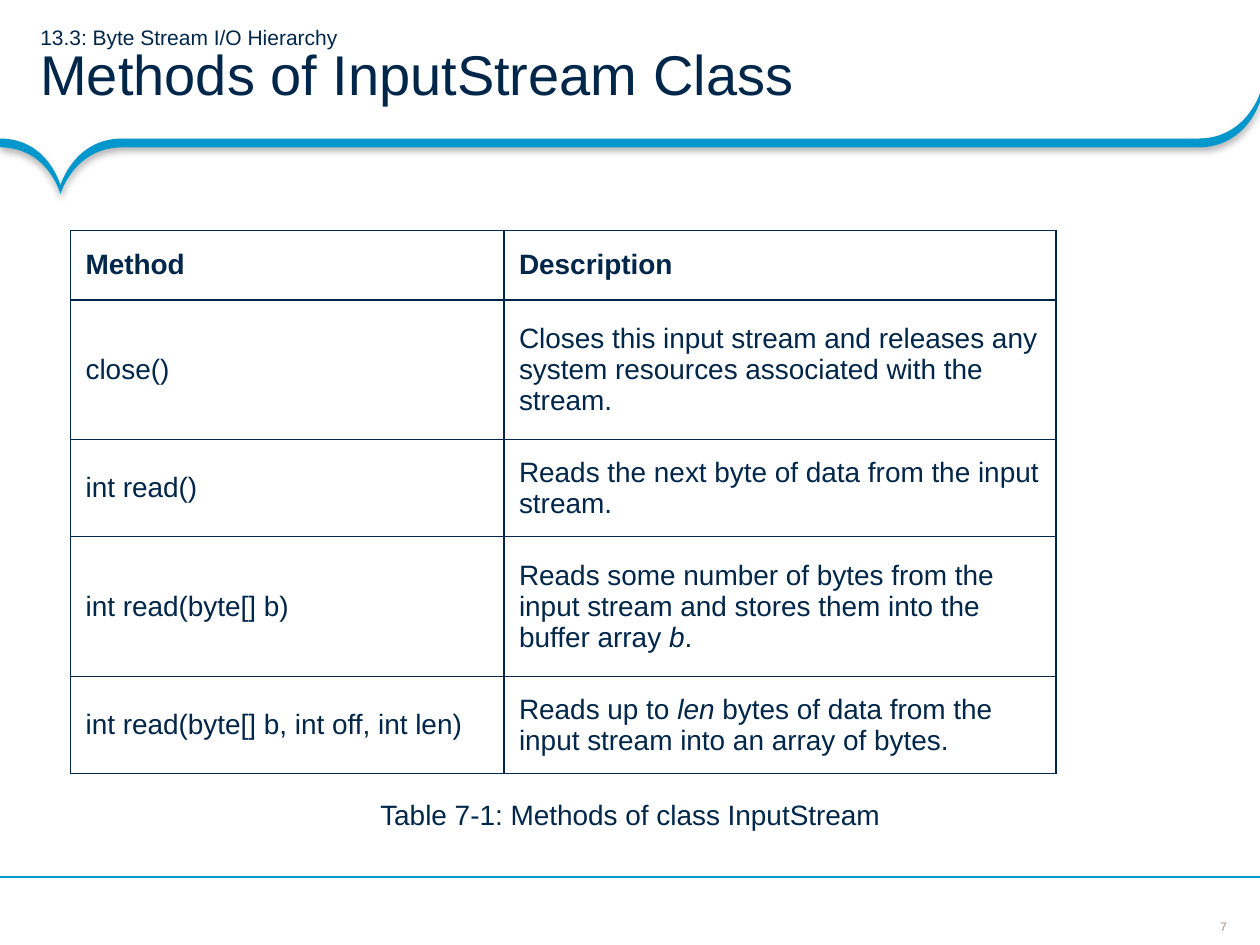
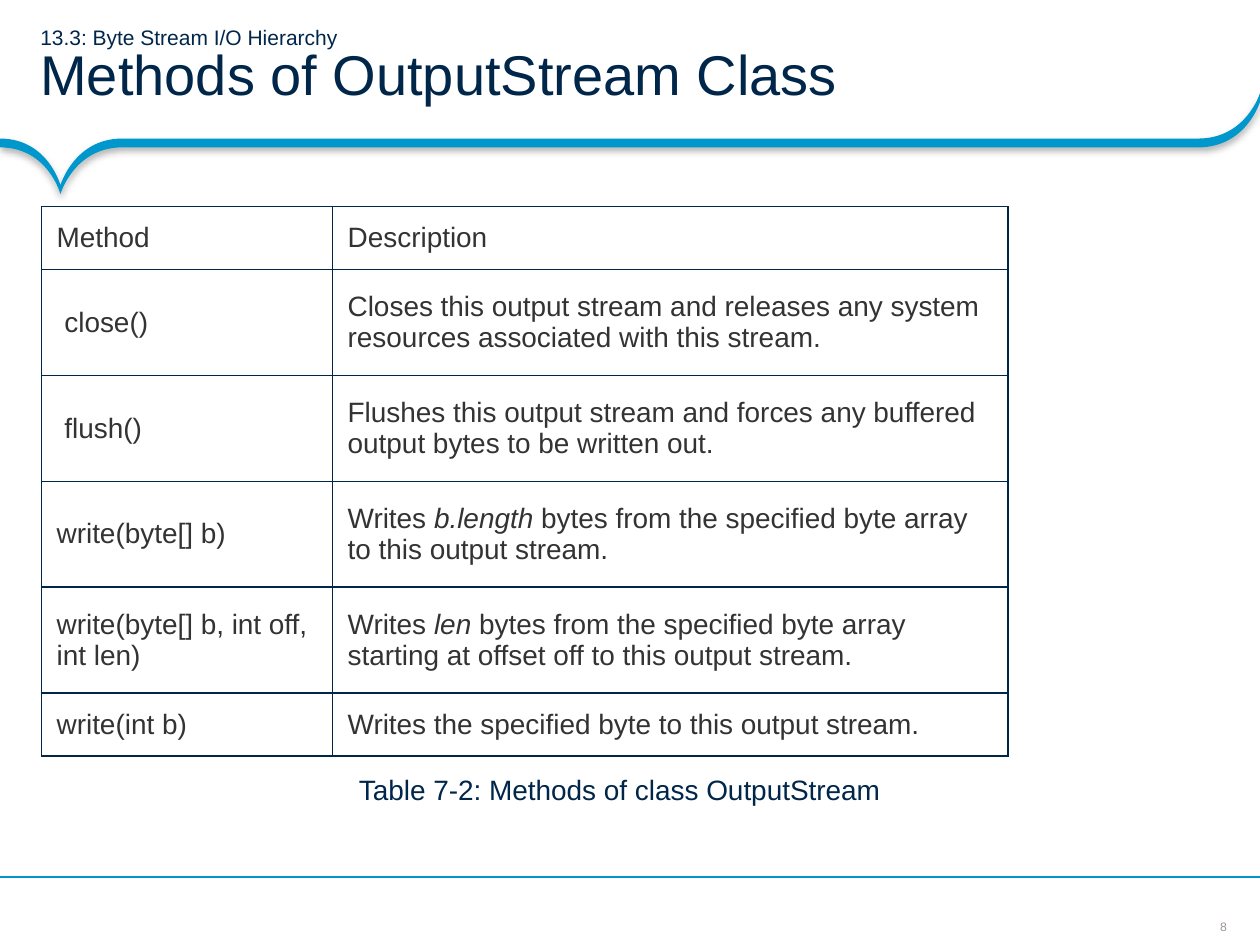
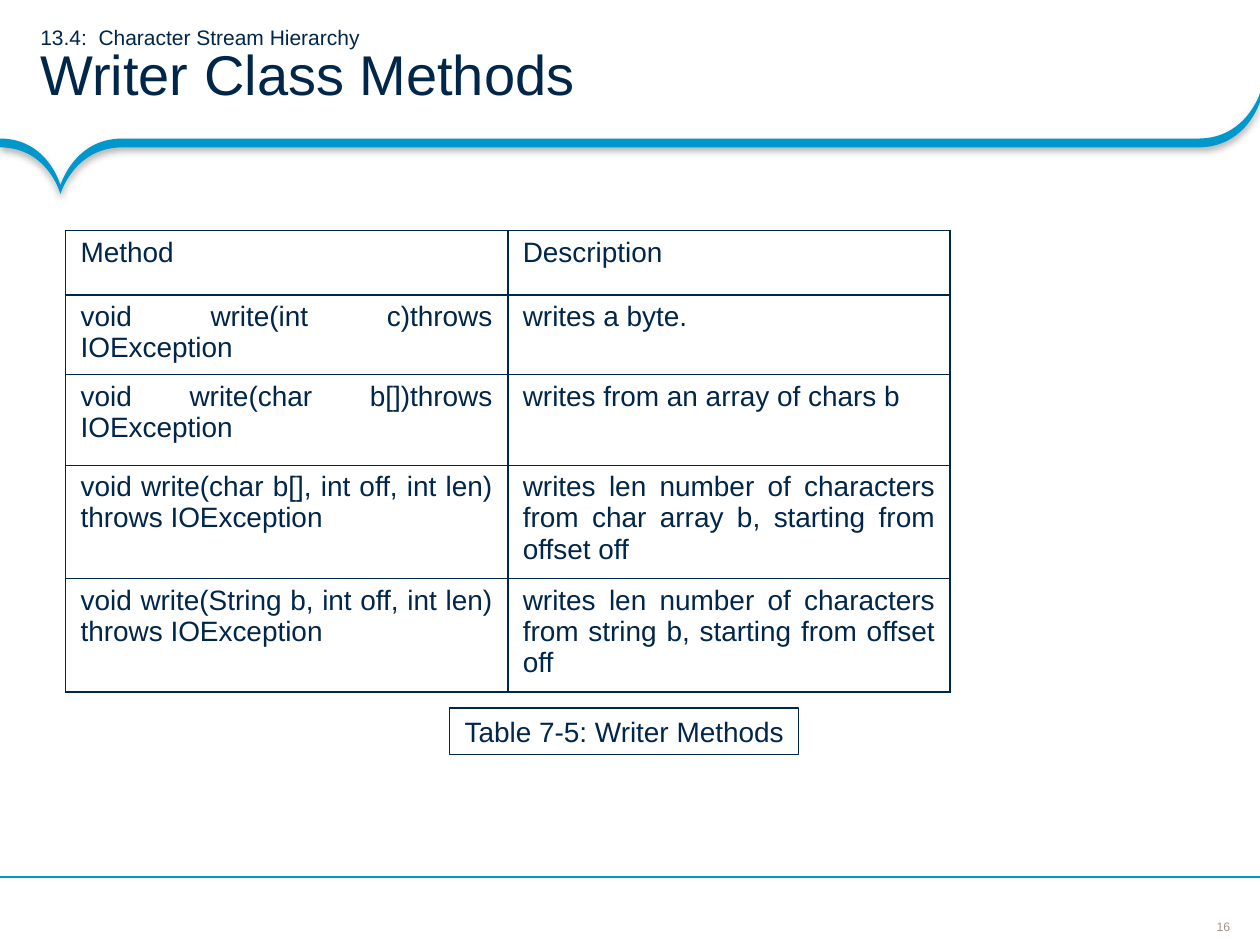
from lxml.etree import SubElement
from pptx import Presentation
from pptx.dml.color import RGBColor
from pptx.enum.shapes import MSO_CONNECTOR, MSO_SHAPE
from pptx.enum.text import MSO_ANCHOR as ANCHOR, PP_ALIGN as ALIGN
from pptx.oxml import parse_xml
from pptx.oxml.ns import nsdecls, qn
from pptx.util import Inches, Pt

NAVY = RGBColor(0x00, 0x26, 0x4A)
BLUE = RGBColor(0x00, 0x98, 0xCC)
CHARCOAL = RGBColor(0x33, 0x33, 0x33)
GRAY = RGBColor(0x9F, 0x95, 0x8F)
WHITE = RGBColor(0xFF, 0xFF, 0xFF)
FONT = "Arial"

# Text between asterisks is italic
SLIDES = [
    {
        "number": 7,
        "section": "13.3: Byte Stream I/O Hierarchy",
        "title": "Methods of InputStream Class",
        "at": (0.56, 1.83), "columns": (3.44, 4.38), "table_height": 4.31,
        "heights": (0.55, 1.11, 0.77, 1.11, 0.77),
        "color": NAVY, "bold_header": True,
        "anchor": ANCHOR.MIDDLE, "align": ALIGN.LEFT,
        "rows": [
            ("Method", "Description"),
            ("close()", "Closes this input stream and releases any system resources "
                        "associated with the stream."),
            ("int read()", "Reads the next byte of data from the input stream."),
            ("int read(byte[] b)", "Reads some number of bytes from the input stream "
                                   "and stores them into the buffer array *b*."),
            ("int read(byte[] b, int off, int len)",
             "Reads up to *len* bytes of data from the input stream into an array of bytes."),
        ],
        "caption": "Table 7‑1: Methods of class InputStream",
        "caption_at": (2.92, 6.28, 4.5, 0.37), "boxed": False,
    },
    {
        "number": 8,
        "section": "13.3: Byte Stream I/O Hierarchy",
        "title": "Methods of OutputStream Class",
        "at": (0.33, 1.64), "columns": (2.31, 5.36), "table_height": 4.35,
        "heights": (0.5, 0.84, 0.84, 0.84, 0.84, 0.5),
        "color": CHARCOAL, "bold_header": False,
        "anchor": ANCHOR.MIDDLE, "align": ALIGN.LEFT,
        "rows": [
            ("Method", "Description"),
            (" close()", "Closes this output stream and releases any system resources "
                         "associated with this stream."),
            (" flush()", "Flushes this output stream and forces any buffered output "
                         "bytes to be written out."),
            ("write(byte[] b)", "Writes *b.length* bytes from the specified byte array "
                                "to this output stream."),
            ("write(byte[] b, int off, int len)",
             "Writes *len* bytes from the specified byte array starting at offset off "
             "to this output stream."),
            ("write(int b)", "Writes the specified byte to this output stream."),
        ],
        "caption": "Table 7‑2: Methods of class OutputStream",
        "caption_at": (2.75, 6.08, 4.5, 0.37), "boxed": False,
    },
    {
        "number": 16,
        "section": "13.4:  Character Stream Hierarchy",
        "title": "Writer Class Methods",
        "at": (0.52, 1.83), "columns": (3.51, 3.51), "table_height": 3.67,
        "heights": (0.51, 0.52, 0.72, 0.75, 0.8),
        "color": NAVY, "bold_header": False,
        "anchor": ANCHOR.TOP, "align": ALIGN.JUSTIFY,
        "rows": [
            ("Method", "Description"),
            ("void write(int c)throws IOException", "writes a byte."),
            ("void write(char b[])throws IOException", "writes from an array of chars b"),
            ("void write(char b[], int off, int len) throws IOException",
             "writes len number of characters from char array b, starting from offset off"),
            ("void write(String b, int off, int len) throws IOException",
             "writes len number of characters from string b, starting from offset off"),
        ],
        "caption": "Table 7‑5: Writer Methods",
        "caption_at": (3.57, 5.62, 2.77, 0.37), "boxed": True,
    },
]

# Band outline: a start point, then Bezier segments (control, control, end)
BAND_START = (9.51, 1.1)
BAND_CURVES = [
    ((0.97, 1.1), (0.97, 1.1), (0.97, 1.1)),
    ((0.59, 1.1), (0.48, 1.47), (0.48, 1.47)),
    ((0.48, 1.47), (0.38, 1.1), (0, 1.1)),
    ((0, 1.17), (0, 1.17), (0, 1.17)),
    ((0.38, 1.17), (0.48, 1.54), (0.48, 1.54)),
    ((0.48, 1.54), (0.59, 1.17), (0.97, 1.17)),
    ((9.51, 1.17), (9.51, 1.17), (9.51, 1.17)),
    ((9.89, 1.17), (10, 0.81), (10, 0.81)),
    ((10, 0.74), (10, 0.74), (10, 0.74)),
    ((10, 0.74), (9.89, 1.1), (9.51, 1.1)),
]


def style(font, size, color, bold=False):
    font.name, font.size, font.bold = FONT, Pt(size), bold
    font.color.rgb = color


def set_margins(target, left, top, right, bottom):
    target.margin_left, target.margin_top = Inches(left), Inches(top)
    target.margin_right, target.margin_bottom = Inches(right), Inches(bottom)


def add_band(page):
    builder = page.shapes.build_freeform(*map(Inches, BAND_START))
    ends = [tuple(map(Inches, curve[-1])) for curve in BAND_CURVES]
    builder.add_line_segments(ends, close=True)
    band = builder.convert_to_shape()
    # Turn each straight segment into its curve
    segments = list(band._element.iter(qn("a:lnTo")))
    for segment, curve in zip(segments, BAND_CURVES):
        segment.tag = qn("a:cubicBezTo")
        segment.clear()
        for x, y in curve:
            SubElement(segment, qn("a:pt"), x=str(Inches(x) - band.left),
                       y=str(Inches(y) - band.top))
    band.fill.solid()
    band.fill.fore_color.rgb = BLUE
    band.line.fill.background()
    band._element.spPr.append(parse_xml(
        f'<a:effectLst {nsdecls("a")}>'
        f'<a:outerShdw blurRad="{Pt(4)}" dist="{Pt(2)}" dir="5400000" rotWithShape="0">'
        '<a:srgbClr val="000000"><a:alpha val="31000"/></a:srgbClr>'
        '</a:outerShdw></a:effectLst>'))


def add_frame(page, number):
    # Page number, band and footer line
    box = page.shapes.add_textbox(Inches(9.65), Inches(7.29), Inches(0.12), Inches(0.12))
    frame = box.text_frame
    set_margins(frame, 0, 0, 0, 0)
    frame.word_wrap = False
    frame.vertical_anchor = ANCHOR.MIDDLE
    para = frame.paragraphs[0]
    para.text, para.alignment = str(number), ALIGN.CENTER
    style(para.font, 7, GRAY)
    add_band(page)
    line = page.shapes.add_connector(
        MSO_CONNECTOR.STRAIGHT, Inches(10), Inches(6.96), 0, Inches(6.96))
    line.line.color.rgb, line.line.width = BLUE, Pt(0.75)
    SubElement(line._element.spPr, qn("a:effectLst"))


def add_title(page, section, title):
    frame = page.shapes.add_textbox(0, 0, Inches(10), Inches(1.08)).text_frame
    frame.word_wrap, frame.vertical_anchor = True, ANCHOR.MIDDLE
    set_margins(frame, 0.32, 0.04, 0.18, 0.04)
    para = frame.paragraphs[0]
    para.line_spacing = 0.85
    for text, size in ((section, 12), (title, 32)):
        if para.runs:
            para.add_line_break()
        span = para.add_run()
        span.text = text
        style(span.font, size, NAVY)


def add_borders(cell):
    properties = cell._tc.get_or_add_tcPr()
    for side in ("lnL", "lnR", "lnT", "lnB"):
        properties.append(parse_xml(
            f'<a:{side} {nsdecls("a")} w="{Pt(1)}"><a:solidFill>'
            f'<a:srgbClr val="{NAVY}"/></a:solidFill></a:{side}>'))


def fill_cell(cell, text, content, bold):
    add_borders(cell)
    cell.fill.solid()
    cell.fill.fore_color.rgb = WHITE
    cell.vertical_anchor = content["anchor"]
    set_margins(cell, 0.12, 0.05, 0.12, 0.05)
    para = cell.text_frame.paragraphs[0]
    para.alignment = content["align"]
    for index, part in enumerate(text.split("*")):
        span = para.add_run()
        span.text = part
        style(span.font, 16, content["color"], bold)
        span.font.italic = index % 2 == 1


def add_method_table(page, content):
    rows, columns, heights = content["rows"], content["columns"], content["heights"]
    left, top = content["at"]
    holder = page.shapes.add_table(
        len(rows), len(columns), Inches(left), Inches(top),
        Inches(sum(columns)), Inches(content["table_height"]))
    table = holder.table
    table.horz_banding = table.first_row = False
    for column, width in zip(table.columns, columns):
        column.width = Inches(width)
    for index, (row, height) in enumerate(zip(table.rows, heights)):
        row.height = Inches(height)
        bold = content["bold_header"] and index == 0
        for cell, text in zip(row.cells, rows[index]):
            fill_cell(cell, text, content, bold)
    holder.height = Inches(content["table_height"])


def add_caption(page, text, place, boxed):
    place = [Inches(length) for length in place]
    if boxed:
        box = page.shapes.add_shape(MSO_SHAPE.RECTANGLE, *place)
        box.shadow.inherit = False
        box.fill.background()
        box.line.color.rgb, box.line.width = NAVY, Pt(0.75)
    else:
        box = page.shapes.add_textbox(*place)
    frame = box.text_frame
    frame.word_wrap = not boxed
    frame.vertical_anchor = ANCHOR.MIDDLE if boxed else ANCHOR.TOP
    para = frame.paragraphs[0]
    para.text = text
    para.alignment = ALIGN.CENTER if boxed else ALIGN.LEFT
    style(para.font, 16, NAVY)


def main():
    deck = Presentation()
    deck.slide_width, deck.slide_height = Inches(10), Inches(7.5)
    for content in SLIDES:
        page = deck.slides.add_slide(deck.slide_layouts[6])
        add_frame(page, content["number"])
        add_title(page, content["section"], content["title"])
        add_method_table(page, content)
        add_caption(page, content["caption"], content["caption_at"], content["boxed"])
    deck.save("out.pptx")


if __name__ == "__main__":
    main()
